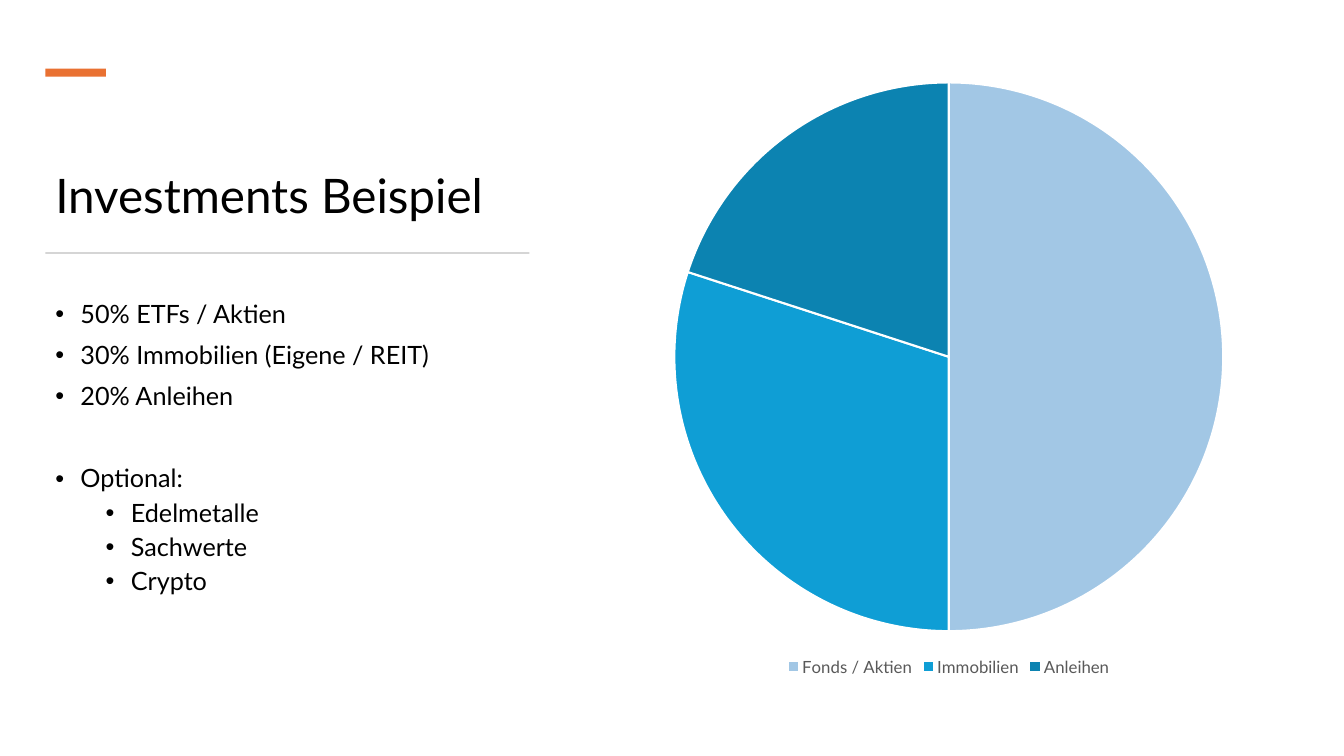
"""Build the slide on an example investment split with a pie chart."""
from lxml import etree
from pptx import Presentation
from pptx.chart.data import CategoryChartData
from pptx.dml.color import RGBColor
from pptx.enum.chart import XL_CHART_TYPE as ChartType, XL_LEGEND_POSITION as LegendPosition
from pptx.enum.shapes import MSO_SHAPE as Shape
from pptx.enum.text import MSO_ANCHOR as Anchor
from pptx.oxml.ns import qn
from pptx.util import Inches, Pt

FONT = "Lato"


def color(value):
    return RGBColor.from_string(value)


def style(font, size, value):
    font.name = FONT
    font.size = Pt(size)
    font.color.rgb = color(value)


prs = Presentation()
prs.slide_width, prs.slide_height = Inches(13.33), Inches(7.5)
slide = prs.slides.add_slide(prs.slide_layouts[6])

heading = slide.shapes.add_textbox(Inches(0.45), Inches(1.08), Inches(4.86), Inches(1.19)).text_frame
heading.word_wrap = True
heading.vertical_anchor = Anchor.BOTTOM
heading.text = "Investments Beispiel"
heading.paragraphs[0].line_spacing = 0.9
style(heading.paragraphs[0].runs[0].font, 34, "000000")

for top, width, height, fill in [(0.68, 0.6, 0.08, "E97132"), (2.5, 4.8, 0.02, "D5D5D5")]:
    bar = slide.shapes.add_shape(Shape.RECTANGLE, Inches(0.45), Inches(top), Inches(width), Inches(height))
    bar.shadow.inherit = False
    bar.fill.solid()
    bar.fill.fore_color.rgb = color(fill)
    bar.line.fill.background()

allocation = slide.shapes.add_textbox(Inches(0.45), Inches(2.94), Inches(4.86), Inches(3.82)).text_frame
allocation.word_wrap = True
items = [
    ("50% ETFs / Aktien", 0, 0),
    ("30% Immobilien (Eigene / REIT)", 0, 10),
    ("20% Anleihen", 0, 10),
    ("Optional:", 0, 39.4),
    ("Edelmetalle", 1, 5),
    ("Sachwerte", 1, 5),
    ("Crypto", 1, 5),
]
allocation.text = "\n".join(text for text, _, _ in items)
for item, (_, level, space) in zip(allocation.paragraphs, items):
    item.level = level
    item.line_spacing = 0.9
    item.space_before = Pt(space)
    props = item._p.get_or_add_pPr()
    props.set("marL", str(Inches(0.25 + 0.5 * level)))
    props.set("indent", str(Inches(-0.25)))
    etree.SubElement(props, qn("a:buFont")).set("typeface", "Arial")
    etree.SubElement(props, qn("a:buChar")).set("char", "•")
    style(item.runs[0].font, 18, "000000")

shares = CategoryChartData()
shares.categories = ["Fonds / Aktien", "Immobilien", "Anleihen"]
shares.add_series("Series 1", (50, 30, 20))
pie = slide.shapes.add_chart(
    ChartType.PIE, Inches(5.89), Inches(0.68), Inches(7.04), Inches(6.07), shares
).chart
style(pie.font, 10, "000000")
pie.has_title = False
pie.has_legend = True
pie.legend.position = LegendPosition.BOTTOM
pie.legend.include_in_layout = False
style(pie.legend.font, 12, "595959")
pie.plots[0].vary_by_categories = True
for index, fill in enumerate(["A2C7E5", "0F9ED5", "0C83B1"]):
    slice_format = pie.plots[0].series[0].points[index].format
    slice_format.fill.solid()
    slice_format.fill.fore_color.rgb = color(fill)
    slice_format.line.color.rgb = color("FFFFFF")
    slice_format.line.width = Pt(1.5)

prs.save("out.pptx")
